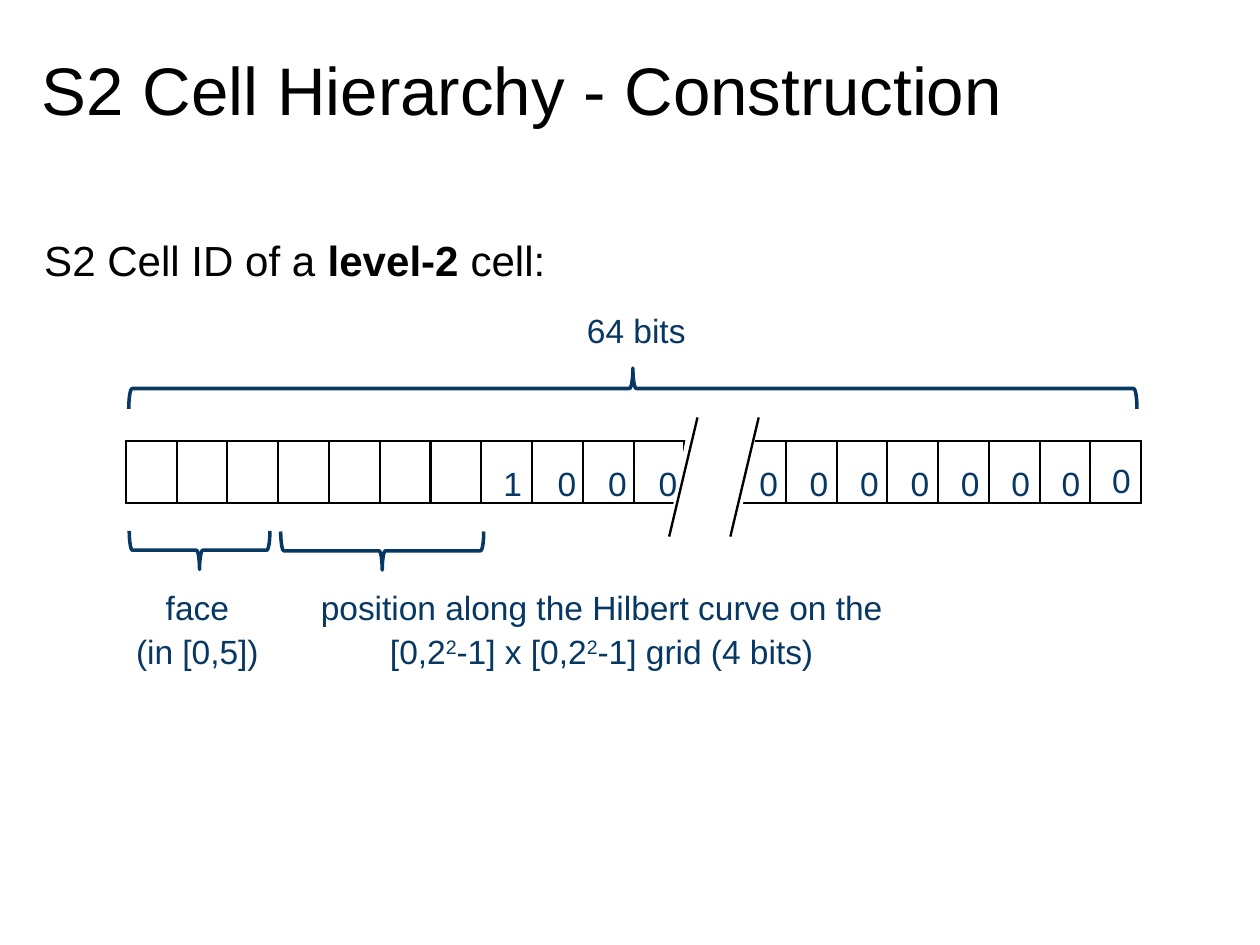
from lxml.etree import SubElement
from pptx import Presentation
from pptx.dml.color import RGBColor
from pptx.enum.shapes import MSO_CONNECTOR, MSO_SHAPE
from pptx.enum.text import MSO_ANCHOR, PP_ALIGN
from pptx.oxml import parse_xml
from pptx.oxml.ns import nsdecls, qn
from pptx.util import Inches, Pt

BLACK, NAVY, WHITE = "000000", "073763", "FFFFFF"

# Content: a paragraph is a list of (text, style) runs
TITLE = [[("S2 Cell Hierarchy - Construction", "")]]
INTRO = [[("S2 Cell ID of a ", ""), ("level-2", "bold"), (" cell:", "")]]
LABELS = [  # paragraphs, box
    ([[("face", "")], [("(in [0,5])", "")]], (1, 5.11, 1.48, 0.93)),
    ([[("64 bits", "")]], (5, 2.66, 1.22, 0.49)),
    ([[("position along the Hilbert curve on the", "")],
      [("[0,2", ""), ("2", "super"), ("-1] x [0,2", ""), ("2", "super"),
       ("-1] grid (4 bits)", "")]], (2.56, 5.11, 5.49, 0.87)),
]
BRACES = [  # box before rotation, rotation
    ((1.59, 4.23, 0.34, 1.24), 270),
    ((3.2, 3.96, 0.34, 1.79), 270),
    ((5.4, -1.02, 0.36, 8.89), 90),
]
BITS = ["1", "0", "0", "0", None] + ["0"] * 8  # None is the gap in the strip
BIT_LEFT, BIT_TOP, BIT_STEP = 4.33, 4, 4 / 9

# Strip of cells
STRIP_LEFT, STRIP_TOP, STRIP_W, STRIP_H, CELLS = 1.11, 3.89, 8.96, 0.54, 20
GAP_BOX = (5.92, 3.81, 0.74, 0.78)
SLASHES = [6.15, 6.69]  # x of each upper end
SLASH_TOP, SLASH_BOTTOM, SLASH_LEAN = 3.68, 4.73, 0.25


def rgb(color):
    return RGBColor.from_string(color)


def inches(box):
    return [Inches(v) for v in box]


def set_line(line, color, width):
    line.color.rgb = rgb(color)
    line.width = Pt(width)


def add_text(s, paragraphs, box, size, color,
             align=PP_ALIGN.LEFT, anchor=MSO_ANCHOR.TOP):
    tf = s.shapes.add_textbox(*inches(box)).text_frame
    tf.word_wrap = True
    tf.vertical_anchor = anchor
    tf.margin_left = tf.margin_right = Inches(0.04)
    tf.margin_top = tf.margin_bottom = Inches(0.04)
    for i, runs in enumerate(paragraphs):
        p = tf.add_paragraph() if i else tf.paragraphs[0]
        p.alignment = align
        p.line_spacing = 1.08
        p.font.name, p.font.size = "Arial", Pt(size)
        p.font.color.rgb = rgb(color)
        for text, style in runs:
            r = p.add_run()
            r.text = text
            r.font.name, r.font.size = "Arial", Pt(size)
            r.font.color.rgb = rgb(color)
            if style == "bold":
                r.font.bold = True
            elif style == "super":
                r.font._element.set("baseline", "30000")


def add_shape(s, kind, box):
    sp = s.shapes.add_shape(kind, *inches(box))
    sp.shadow.inherit = False
    return sp


def add_borders(cell, color, width):
    tcPr = cell._tc.get_or_add_tcPr()
    for i, side in enumerate(("lnL", "lnR", "lnT", "lnB")):
        tcPr.insert(i, parse_xml(
            f'<a:{side} {nsdecls("a")} w="{Pt(width)}"><a:solidFill>'
            f'<a:srgbClr val="{color}"/></a:solidFill></a:{side}>'))


def add_strip(s):
    box = (STRIP_LEFT, STRIP_TOP, STRIP_W, STRIP_H)
    table = s.shapes.add_table(1, CELLS, *inches(box)).table
    table.first_row = table.horz_banding = False
    for column in table.columns:
        column.width = Inches(STRIP_W / CELLS)
    for cell in table.iter_cells():
        cell.fill.background()
        add_borders(cell, BLACK, 1.5)


def add_gap(s):
    sp = add_shape(s, MSO_SHAPE.FLOWCHART_DATA, GAP_BOX)
    sp.fill.solid()
    sp.fill.fore_color.rgb = rgb(WHITE)
    set_line(sp.line, WHITE, 1.5)
    for x in SLASHES:
        ends = (x, SLASH_TOP, x - SLASH_LEAN, SLASH_BOTTOM)
        line = s.shapes.add_connector(MSO_CONNECTOR.STRAIGHT, *inches(ends))
        set_line(line.line, BLACK, 1.5)
        SubElement(line._element.spPr, qn("a:effectLst"))


def main():
    prs = Presentation()
    prs.slide_width, prs.slide_height = Inches(11.11), Inches(8.33)
    s = prs.slides.add_slide(prs.slide_layouts[6])

    # Heading and introduction
    add_text(s, TITLE, (0.33, 0.33, 10.53, 1.08), 42.7, BLACK)
    add_text(s, INTRO, (0.35, 1.99, 10.37, 6.12), 26.7, BLACK)

    # Bit strip with its break
    add_strip(s)
    add_gap(s)

    # Braces and their labels
    for box, rotation in BRACES:
        sp = add_shape(s, MSO_SHAPE.LEFT_BRACE, box)
        sp.rotation = rotation
        sp.fill.background()
        set_line(sp.line, NAVY, 2.25)
    for paragraphs, box in LABELS:
        add_text(s, paragraphs, box, 21.3, NAVY, PP_ALIGN.CENTER)

    # Bit values; the leading 1 is narrower, the final 0 sits higher
    for i, bit in enumerate(BITS):
        if bit is None:
            continue
        w = 0.38 if bit == "1" else 0.45
        h = 0.43 if i == len(BITS) - 1 else 0.48
        add_text(s, [[(bit, "")]], (BIT_LEFT + i * BIT_STEP, BIT_TOP, w, h),
                 21.3, NAVY, PP_ALIGN.CENTER, MSO_ANCHOR.MIDDLE)

    prs.save("out.pptx")


if __name__ == "__main__":
    main()
